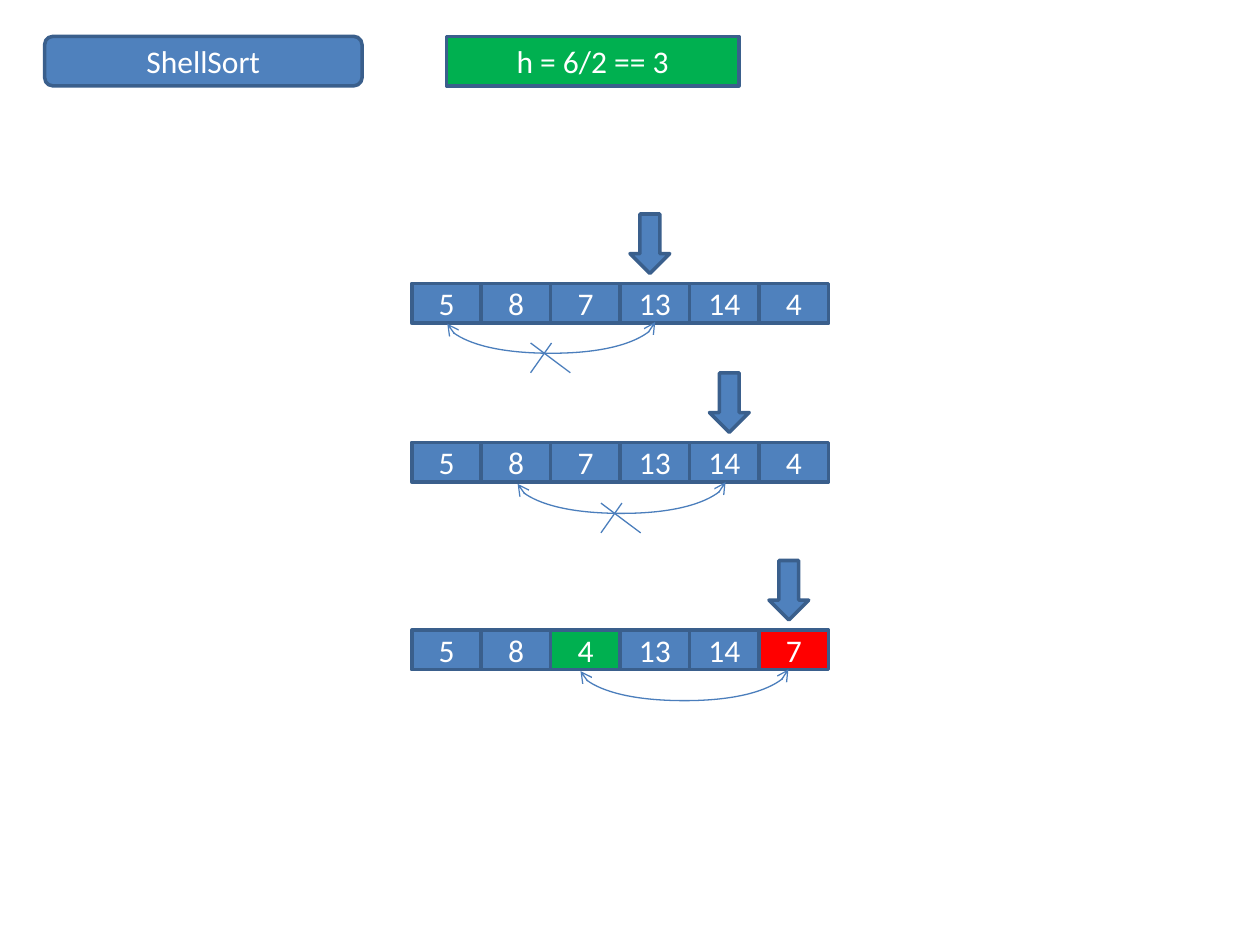
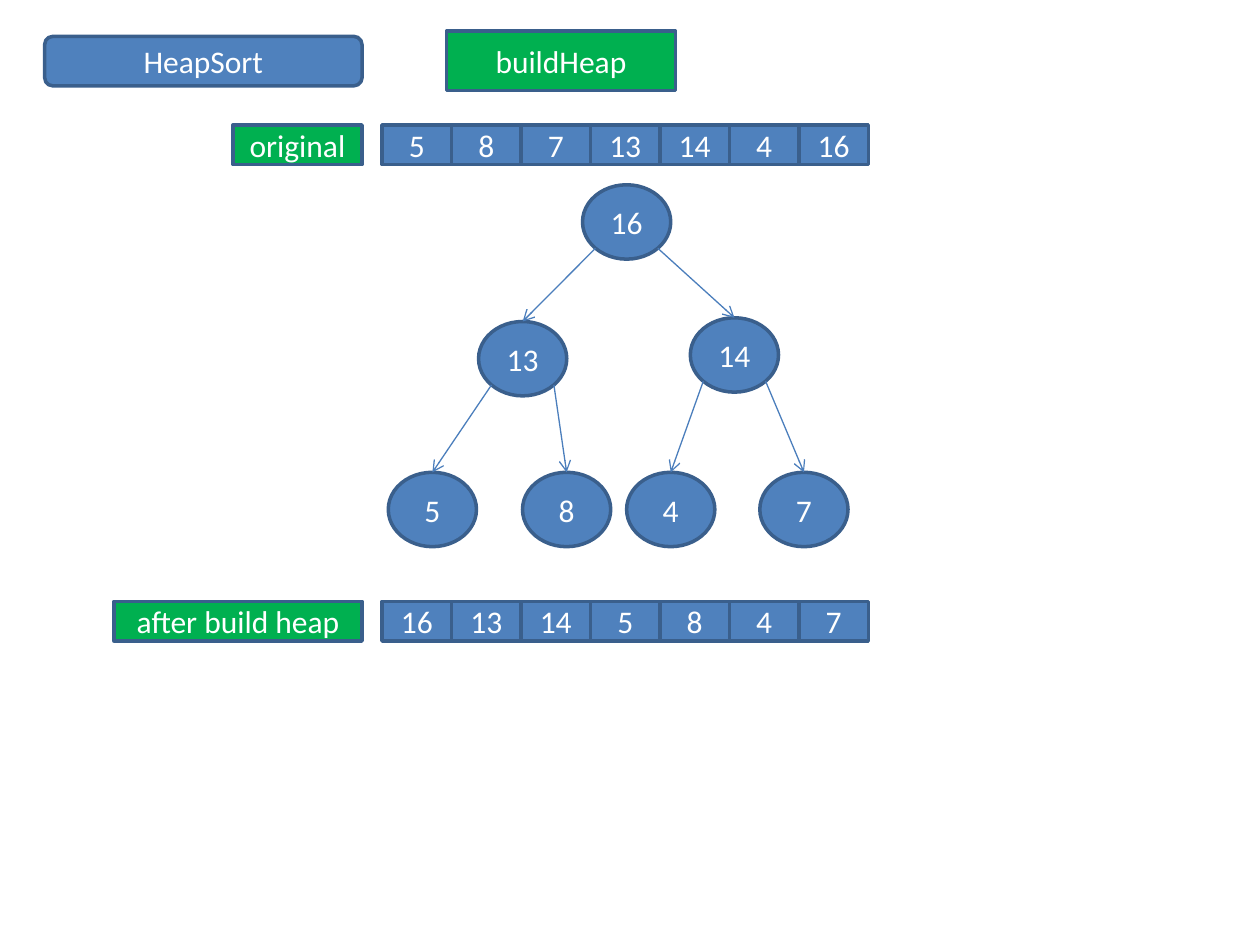
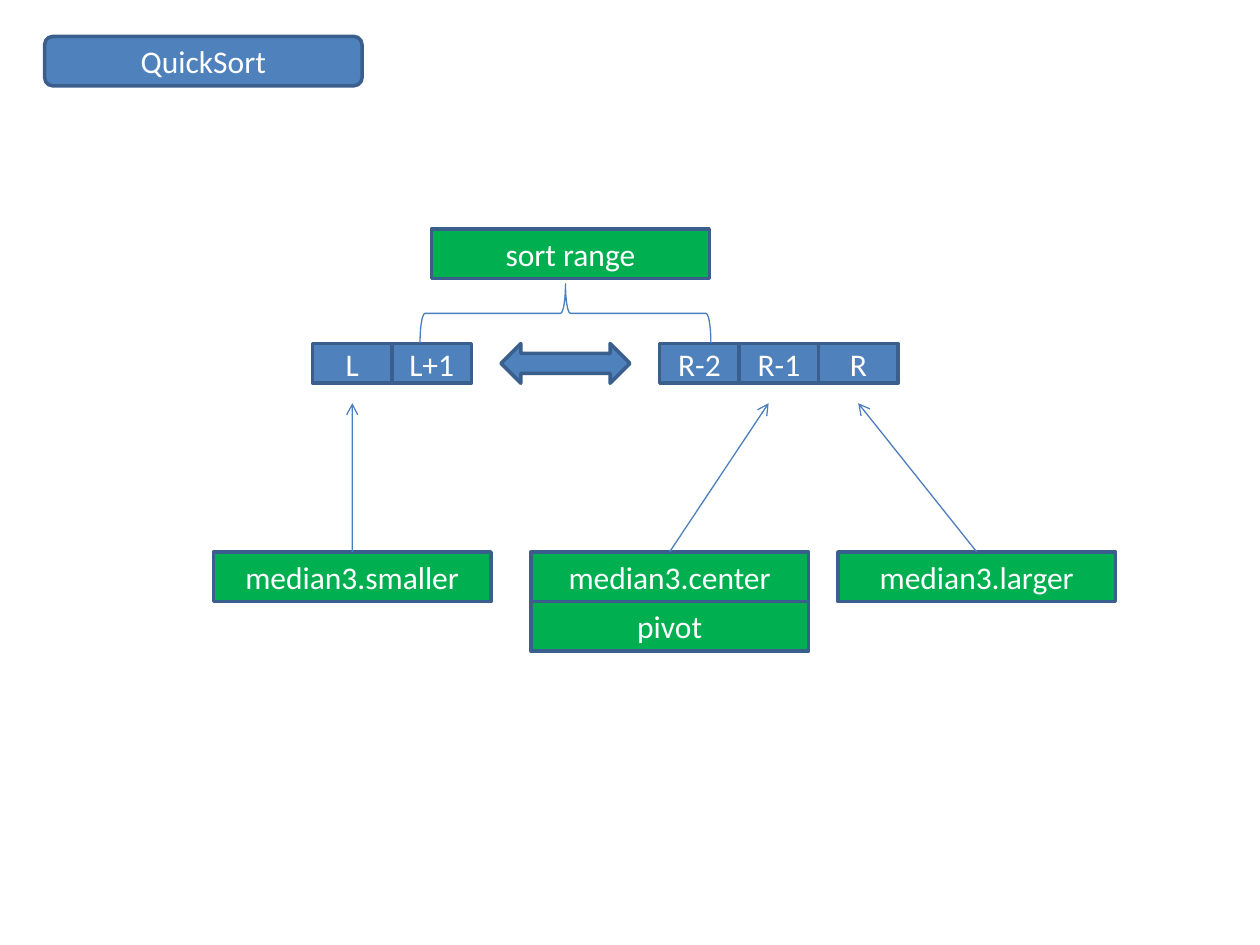
from dataclasses import dataclass
from itertools import chain

from lxml import etree
from pptx import Presentation
from pptx.dml.color import RGBColor
from pptx.enum.shapes import MSO_CONNECTOR, MSO_SHAPE
from pptx.enum.text import MSO_ANCHOR, PP_ALIGN
from pptx.oxml.ns import qn
from pptx.util import Pt

RECTANGLE = MSO_SHAPE.RECTANGLE
ROUNDED = MSO_SHAPE.ROUNDED_RECTANGLE
OVAL = MSO_SHAPE.OVAL
DOWN_ARROW = MSO_SHAPE.DOWN_ARROW
TWO_WAY_ARROW = MSO_SHAPE.LEFT_RIGHT_ARROW
LEFT_BRACE = MSO_SHAPE.LEFT_BRACE
STRAIGHT = MSO_CONNECTOR.STRAIGHT
CURVE = MSO_CONNECTOR.CURVE
CENTER = PP_ALIGN.CENTER
MIDDLE = MSO_ANCHOR.MIDDLE


@dataclass(frozen=True)
class Theme:
    blue: RGBColor = RGBColor.from_string("4F81BD")
    green: RGBColor = RGBColor.from_string("00B050")
    red: RGBColor = RGBColor.from_string("FF0000")
    outline: RGBColor = RGBColor.from_string("3A5F8C")
    connector: RGBColor = RGBColor.from_string("4B7EBC")
    text: RGBColor = RGBColor.from_string("FFFFFF")
    font: str = "Calibri"
    text_size: float = 18
    outline_width: float = 2
    connector_width: float = 0.75


THEME = Theme()
CELL_WIDTH, CELL_HEIGHT = 39.7, 22.7
LABEL_WIDTH, LABEL_HEIGHT = 158.7, 28.3
NODE_WIDTH, NODE_HEIGHT = 50.4, 42.5


class Deck:
    """Holds the theme and the current slide."""

    def __init__(self, theme):
        self.theme = theme
        self.presentation = Presentation()
        self.presentation.slide_width = Pt(720)
        self.presentation.slide_height = Pt(540)
        self.slide = None

    def new_slide(self, title):
        blank = self.presentation.slide_layouts[6]
        self.slide = self.presentation.slides.add_slide(blank)
        self.shape(ROUNDED, 25.5, 20.8, 181.4, LABEL_HEIGHT, title)

    def shape(self, kind, left, top, width, height, text="", fill=None):
        shape = self.slide.shapes.add_shape(
            kind, Pt(left), Pt(top), Pt(width), Pt(height))
        shape.shadow.inherit = False
        shape.fill.solid()
        shape.fill.fore_color.rgb = fill or self.theme.blue
        self.stroke(shape.line, self.theme.outline, self.theme.outline_width)
        if text:
            self.centered_text(shape.text_frame, text)
        return shape

    def centered_text(self, frame, text):
        frame.vertical_anchor = MIDDLE
        paragraph = frame.paragraphs[0]
        paragraph.alignment = CENTER
        run = paragraph.add_run()
        run.text = text
        formats = {"name": self.theme.font, "size": Pt(self.theme.text_size)}
        for name, value in formats.items():
            setattr(run.font, name, value)
        run.font.color.rgb = self.theme.text

    def stroke(self, line, color, width):
        line.color.rgb = color
        line.width = Pt(width)

    def label(self, left, top, text, width=LABEL_WIDTH, height=LABEL_HEIGHT):
        self.shape(RECTANGLE, left, top, width, height, text, self.theme.green)

    def cells(self, left, top, values, width=CELL_WIDTH, fills=None):
        for index, value in enumerate(values):
            self.shape(RECTANGLE, left + index * width, top, width,
                       CELL_HEIGHT, value, (fills or {}).get(index))

    def brace(self, left, top, width, height):
        brace = self.shape(LEFT_BRACE, left, top, width, height)
        brace.rotation = 90
        brace.fill.background()
        self.stroke(brace.line, self.theme.connector, self.theme.connector_width)

    def connector(self, start, end, ends=(), kind=STRAIGHT):
        points = [Pt(value) for value in chain(start, end)]
        connector = self.slide.shapes.add_connector(kind, *points)
        self.stroke(connector.line, self.theme.connector, self.theme.connector_width)
        properties = connector.element.spPr
        line = properties.find(qn("a:ln"))
        for end_name in ends:
            etree.SubElement(line, qn(f"a:{end_name}"), type="arrow")
        etree.SubElement(properties, qn("a:effectLst"))
        return connector

    def swap_curve(self, right, top, span=118.8, depth=18):
        # A one-point-wide curve turned by 90 degrees, bulging downwards
        middle = right - span / 2
        curve = self.connector((middle - 0.5, top + 0.5 - span / 2),
                               (middle + 0.5, top + 0.5 + span / 2),
                               ("headEnd", "tailEnd"), CURVE)
        properties = curve.element.spPr
        properties.find(qn("a:xfrm")).set("rot", "5400000")
        geometry = properties.find(qn("a:prstGeom"))
        adjustments = geometry.find(qn("a:avLst"))
        if adjustments is None:
            adjustments = etree.SubElement(geometry, qn("a:avLst"))
        etree.SubElement(adjustments, qn("a:gd"), name="adj1",
                         fmla=f"val {depth * 100000}")

    def cross(self, left, top, height=17):
        self.connector((left, top), (left + 22.7, top + height))
        self.connector((left + 12, top), (left, top + height))

    def node(self, left, top, text):
        self.shape(OVAL, left, top, NODE_WIDTH, NODE_HEIGHT, text)

    def branch(self, parent, child, side):
        # From the parent's lower diagonal point to the top of the child
        diagonal = 0.5 ** 0.5 / 2
        start = (parent[0] + NODE_WIDTH * (0.5 + side * diagonal),
                 parent[1] + NODE_HEIGHT * (0.5 + diagonal))
        self.connector(start, (child[0] + NODE_WIDTH / 2, child[1]), ("tailEnd",))


def shell_sort(deck):
    deck.new_slide("ShellSort")
    deck.label(255.1, 20.8, "h = 6/2 == 3", 167.2)
    swapped = {2: deck.theme.green, 5: deck.theme.red}
    # Row top, values, fills, pointer left, curve right, curve top, rejected
    steps = [
        (162, "5 8 7 13 14 4", None, 360, 374.4, 184, True),
        (252.8, "5 8 7 13 14 4", None, 405.4, 414.6, 275.5, True),
        (360, "5 8 4 13 14 7", swapped, 439.4, 450.5, 382.5, False),
    ]
    for top, values, fills, pointer, right, curve_top, rejected in steps:
        deck.cells(235.3, top, values.split(), fills=fills)
        deck.shape(DOWN_ARROW, pointer, top - 39.7, CELL_HEIGHT, 34)
        deck.swap_curve(right, curve_top)
        if rejected:
            deck.cross(right - 71.2, curve_top + 12)


def heap_sort(deck):
    deck.new_slide("HeapSort")
    deck.label(255.1, 17.8, "buildHeap", 131, 34)
    # Array before and after
    rows = [("original", 73.7, 71.4, "5 8 7 13 14 4 16"),
            ("after build heap", 141.7, 343.6, "16 13 14 5 8 4 7")]
    for text, width, top, values in rows:
        deck.label(206.9 - width, top, text, width, CELL_HEIGHT)
        deck.cells(218.3, top, values.split())
    # Heap in level order: the children of i are 2i + 1 and 2i + 2
    nodes = [("16", 332.9, 105.6), ("13", 273.5, 183.7), ("14", 394.5, 181.6),
             ("5", 221.9, 269.9), ("8", 298.6, 269.9),
             ("4", 358.1, 269.9), ("7", 434.2, 269.9)]
    for text, left, top in nodes:
        deck.node(left, top, text)
    for index in range(1, len(nodes)):
        side = -1 if index % 2 else 1
        deck.branch(nodes[(index - 1) // 2][1:], nodes[index][1:], side)


def quick_sort(deck):
    deck.new_slide("QuickSort")
    # Array ends and the range between them
    row_top, wide_cell = 196.3, 45.4
    deck.cells(178.6, row_top, ["L", "L+1"], wide_cell)
    deck.cells(377, row_top, ["R-2", "R-1", "R"], wide_cell)
    deck.shape(TWO_WAY_ARROW, 286.3, row_top, 73.7, CELL_HEIGHT)
    deck.brace(306.2, 96, 33.8, 166.2)
    deck.label(246.6, 131, "sort range")
    # Medians and the cells they go to
    label_top = 315.4
    medians = [("median3.smaller", 121.9, 201.3),
               ("median3.center", 303.3, 439.2),
               ("median3.larger", 478.8, 490.4)]
    for text, left, target in medians:
        deck.label(left, label_top, text)
        deck.connector((left + LABEL_WIDTH / 2, label_top), (target, 230.4),
                       ("tailEnd",))
    deck.label(303.3, label_top + LABEL_HEIGHT, "pivot")


def main():
    deck = Deck(THEME)
    for build in (shell_sort, heap_sort, quick_sort):
        build(deck)
    deck.presentation.save("out.pptx")


if __name__ == "__main__":
    main()
